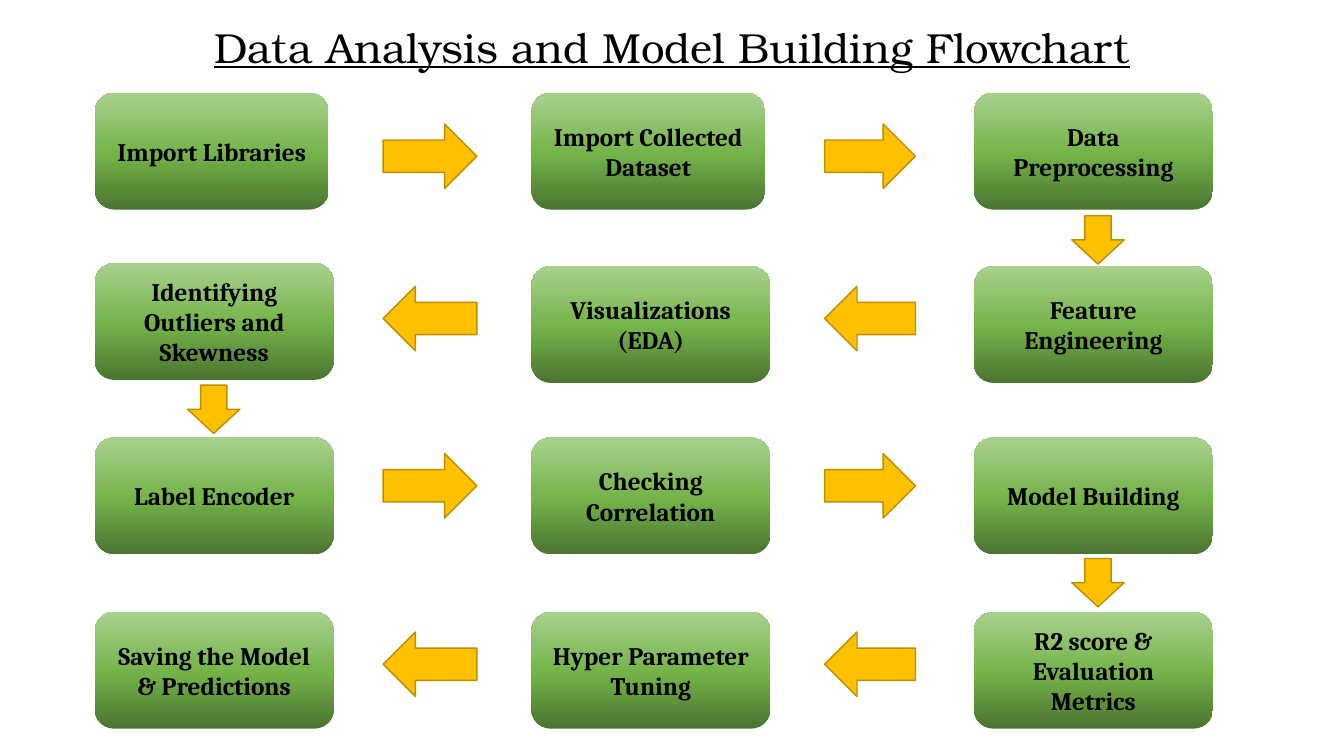
"""Build a slide with a snaking flowchart of a data analysis workflow."""
from copy import deepcopy

from pptx import Presentation
from pptx.dml.color import RGBColor
from pptx.enum.shapes import MSO_SHAPE as SHAPE
from pptx.enum.text import MSO_ANCHOR, MSO_AUTO_SIZE, PP_ALIGN
from pptx.oxml.ns import qn
from pptx.util import Inches, Pt

COLORS = {
    "text": "000000",
    "arrow": "FFC000",
    "arrow_line": "BD8E00",
    "dark": "4B7430",
    "mid": "74B349",
    "light": "A9D18E",
}
GRADIENT = [(0, "dark"), (0.48, "mid"), (1, "light")]

STEPS = [
    ["Import Libraries", "Import Collected Dataset", "Data Preprocessing"],
    ["Identifying Outliers and Skewness", "Visualizations\n(EDA)", "Feature Engineering"],
    ["Label Encoder", "Checking Correlation", "Model Building"],
    ["Saving the Model & Predictions", "Hyper Parameter Tuning", "R2 score & Evaluation Metrics"],
]
COLUMN_LEFTS = [0.94, 5.27, 9.66]
ROW_TOPS = [0.92, 2.64, 4.34, 6.07]
BOX_WIDTH, BOX_HEIGHT = 2.37, 1.16
NARROW_WIDTH = 2.32
NARROW_STEPS = STEPS[0][:2]
STEP_TOPS = {"Identifying Outliers and Skewness": 2.61}

ACROSS_SPANS = [(3.8, 0.93), (8.18, 0.9)]
ACROSS_TOPS = [1.23, 2.84, 4.5, 6.27]
ACROSS_HEIGHT = 0.64
DOWN_PLACES = [(10.63, 2.14), (1.86, 3.82), (10.63, 5.54)]
DOWN_WIDTH, DOWN_HEIGHT = 0.52, 0.48


def color(name):
    return RGBColor.from_string(COLORS[name])


def format_text(tf, font, size, **styles):
    for p in tf.paragraphs:
        p.alignment = PP_ALIGN.CENTER
        for r in p.runs:
            r.font.name = font
            r.font.size = Pt(size)
            r.font.color.rgb = color("text")
            for style, value in styles.items():
                setattr(r.font, style, value)


def add_title(slide, text):
    title = slide.shapes.title
    title.left, title.top = Inches(0), Inches(0.16)
    title.width, title.height = Inches(13.33), Inches(0.61)
    tf = title.text_frame
    tf.text = text
    tf.word_wrap = True
    tf.auto_size = MSO_AUTO_SIZE.SHAPE_TO_FIT_TEXT
    tf.vertical_anchor = MSO_ANCHOR.TOP
    format_text(tf, "TeX Gyre Bonum", 30, underline=True)


def add_shape(slide, kind, left, top, width, height):
    sp = slide.shapes.add_shape(
        kind, Inches(left), Inches(top), Inches(width), Inches(height))
    sp.shadow.inherit = False
    return sp


def add_arrow(slide, kind, left, top, width, height):
    sp = add_shape(slide, kind, left, top, width, height)
    sp.fill.solid()
    sp.fill.fore_color.rgb = color("arrow")
    sp.line.color.rgb = color("arrow_line")
    sp.line.width = Pt(1)


def fill_gradient(sp):
    sp.fill.gradient()
    sp.fill.gradient_angle = 90
    stop_list = next(sp.element.spPr.iter(qn("a:gsLst")))
    stop_list.append(deepcopy(stop_list[0]))
    for stop, (position, name) in zip(sp.fill.gradient_stops, GRADIENT):
        stop.position = position
        stop.color.rgb = color(name)


def add_step(slide, text, left, top, width):
    sp = add_shape(slide, SHAPE.FLOWCHART_ALTERNATE_PROCESS, left, top, width, BOX_HEIGHT)
    fill_gradient(sp)
    sp.line.fill.background()
    tf = sp.text_frame
    tf.text = text
    tf.word_wrap = True
    tf.vertical_anchor = MSO_ANCHOR.MIDDLE
    format_text(tf, "Cambria", 18, bold=True)


def main():
    prs = Presentation()
    prs.slide_width, prs.slide_height = Inches(13.33), Inches(7.5)
    slide = prs.slides.add_slide(prs.slide_layouts[5])
    add_title(slide, "Data Analysis and Model Building Flowchart")

    for row, top in enumerate(ACROSS_TOPS):
        kind = SHAPE.LEFT_ARROW if row % 2 else SHAPE.RIGHT_ARROW
        for left, width in ACROSS_SPANS:
            add_arrow(slide, kind, left, top, width, ACROSS_HEIGHT)
    for left, top in DOWN_PLACES:
        add_arrow(slide, SHAPE.DOWN_ARROW, left, top, DOWN_WIDTH, DOWN_HEIGHT)

    for row_top, labels in zip(ROW_TOPS, STEPS):
        for left, label in zip(COLUMN_LEFTS, labels):
            width = NARROW_WIDTH if label in NARROW_STEPS else BOX_WIDTH
            add_step(slide, label, left, STEP_TOPS.get(label, row_top), width)

    prs.save("out.pptx")


if __name__ == "__main__":
    main()
